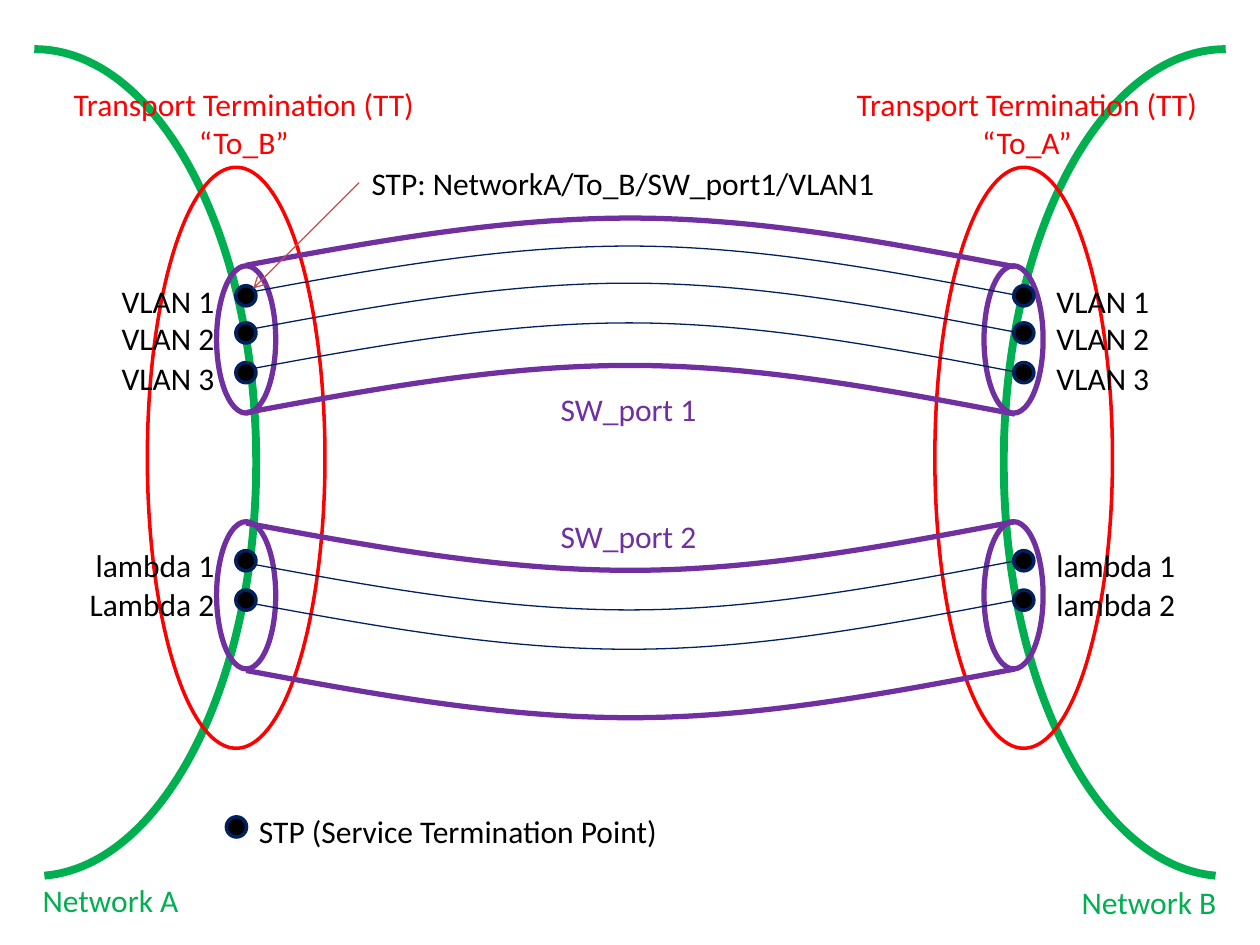
from lxml.etree import SubElement
from pptx import Presentation
from pptx.dml.color import RGBColor
from pptx.enum.shapes import MSO_CONNECTOR, MSO_SHAPE
from pptx.enum.text import MSO_AUTO_SIZE, PP_ALIGN
from pptx.oxml.ns import qn
from pptx.util import Pt

COLORS = {
    "network": "00B050",
    "termination": "FF0000",
    "port": "7030A0",
    "channel": "002060",
    "point": "000000",
    "text": "000000",
    "pointer": "C0504D",
}
SLIDE_WIDTH, SLIDE_HEIGHT = 720, 540
DOT_SIZE = 11.5
BOW_HEIGHT = 27.8
LABEL_HEIGHT = 28.8


def color(name):
    return RGBColor.from_string(COLORS[name])


def style_outline(shape, line_color, weight):
    shape.shadow.inherit = False
    shape.line.color.rgb = color(line_color)
    shape.line.width = Pt(weight)


def add_ellipse(shapes, left, top, width, height, line_color, weight, fill=None):
    ellipse = shapes.add_shape(MSO_SHAPE.OVAL, Pt(left), Pt(top), Pt(width), Pt(height))
    style_outline(ellipse, line_color, weight)
    if fill:
        ellipse.fill.solid()
        ellipse.fill.fore_color.rgb = color(fill)
    else:
        ellipse.fill.background()


def add_point(shapes, left, top):
    add_ellipse(shapes, left, top, DOT_SIZE, DOT_SIZE, "channel", 2, "point")


def add_curve(shapes, points, line_color, weight):
    """Draw an open Bezier curve: a start, then two controls and an end per segment."""
    points = [(Pt(x), Pt(y)) for x, y in points]
    builder = shapes.build_freeform(*points[0])
    builder.add_line_segments(points[1:], close=False)
    curve = builder.convert_to_shape()
    style_outline(curve, line_color, weight)
    curve.fill.background()

    segments = list(curve._element.iter(qn("a:lnTo")))
    for start in range(0, len(segments), 3):
        first, *others = segments[start:start + 3]
        first.tag = qn("a:cubicBezTo")
        for other in others:
            first.append(other[0])
            other.getparent().remove(other)


def add_bow(shapes, left, top, width, rising, line_color, weight):
    """Draw a shallow arch, or its upside-down form, in the given box."""
    depths = (0.97, 0.48, 0, 0, 0, 0.5, 1)
    points = [
        (left + width * step / 6, top + BOW_HEIGHT * (depth if rising else 1 - depth))
        for step, depth in enumerate(depths)
    ]
    add_curve(shapes, points, line_color, weight)


def add_label(shapes, left, top, width, lines, text_color="text", align=PP_ALIGN.LEFT):
    height = LABEL_HEIGHT + 21.6 * (len(lines) - 1)
    box = shapes.add_textbox(Pt(left), Pt(top), Pt(width), Pt(height))
    frame = box.text_frame
    frame.word_wrap = False
    frame.auto_size = MSO_AUTO_SIZE.SHAPE_TO_FIT_TEXT
    frame.text = "\n".join(lines)
    for paragraph in frame.paragraphs:
        paragraph.alignment = align
        paragraph.font.name = "Calibri"
        paragraph.font.size = Pt(18)
        paragraph.font.color.rgb = color(text_color)


def add_network_edge(shapes, left, top, mirrored):
    outline = [(0, 0), (69.2, 0), (125.3, 102.9), (126.8, 231.1),
               (128.2, 360), (74.2, 466.5), (5.8, 472.3)]
    direction = -1 if mirrored else 1
    points = [(left + direction * x, top + y) for x, y in outline]
    add_curve(shapes, points, "network", 4.5)


def add_channel(shapes, left, top, rising, names, label_widths):
    """Join two service termination points; left and top are those of the left point."""
    span = 444.5
    bow_top = top - 22.7 if rising else top + 6
    add_bow(shapes, left + 5, bow_top, 439.5, rising, "channel", 0.75)
    for point_left in (left + span, left):
        add_point(shapes, point_left, top)
    label_top = top - 5.8 if rising else top - 6.3
    add_label(shapes, left + span + 17.3, label_top, label_widths[1], [names[1]])
    add_label(shapes, left - 5.2 - label_widths[0], label_top, label_widths[0],
              [names[0]], align=PP_ALIGN.RIGHT)


def add_port(shapes, left, top, rising, channels):
    """Draw a tube between the networks with its channels; offsets count from top."""
    end_width, height, span = 33.8, 84.2, 438.5
    tube = shapes.add_group_shape().shapes
    for end_left in (left, left + span):
        add_ellipse(tube, end_left, top, end_width, height, "port", 3)
    bow_top = top - BOW_HEIGHT + 0.5 if rising else top
    for edge in (bow_top, bow_top + height):
        add_bow(tube, left + end_width / 2, edge, 439.2, rising, "port", 3)
    for offset, names, label_widths in channels:
        channel = shapes.add_group_shape().shapes
        add_channel(channel, left + 11, top + offset, rising, names, label_widths)


def add_pointer(shapes, start, end):
    connector = shapes.add_connector(
        MSO_CONNECTOR.STRAIGHT, *(Pt(value) for value in (*start, *end)))
    connector.line.color.rgb = color("pointer")
    connector.line.width = Pt(0.75)
    SubElement(connector.line._get_or_add_ln(), qn("a:tailEnd"), type="arrow")
    SubElement(connector._element.spPr, qn("a:effectLst"))


def add_legend(shapes, left, top):
    add_point(shapes, left, top + 6.4)
    add_label(shapes, left + 11.5, top, 244, ["STP (Service Termination Point)"])


def build_slide(slide):
    shapes = slide.shapes
    add_network_edge(shapes, 19.6, 28.1, mirrored=False)
    add_network_edge(shapes, SLIDE_WIDTH - 19.6, 28.1, mirrored=True)
    for left in (84.2, 534.2):
        add_ellipse(shapes, left, 95.6, 101.5, 332, "termination", 2)

    vlans = [(offset, (f"VLAN {number}",) * 2, (70, 70))
             for number, offset in enumerate((11.4, 32.6, 55.3), 1)]
    lambdas = [(16.6, ("lambda 1", "lambda 1"), (84, 84)),
               (39.1, ("Lambda 2", "lambda 2"), (88, 84))]
    add_port(shapes, 123.8, 151.9, True, vlans)
    add_port(shapes, 123.8, 298.1, False, lambdas)

    for left, name in ((481, "“To_A”"), (33.5, "“To_B”")):
        add_label(shapes, left, 45, 211.7, ["Transport Termination (TT)", name],
                  "termination", PP_ALIGN.CENTER)
    for top, name in ((219.6, "SW_port 1"), (292, "SW_port 2")):
        add_label(shapes, 313, top, 92.2, [name], "port", PP_ALIGN.CENTER)
    for left, top, name in ((17.3, 499.7, "Network A"), (611, 500.8, "Network B")):
        add_label(shapes, left, top, 92, [name], "network")

    add_legend(shapes, 129.4, 460.4)
    add_pointer(shapes, (205.2, 104.4), (144.7, 164.9))
    add_label(shapes, 205.2, 90, 303.8, ["STP: NetworkA/To_B/SW_port1/VLAN1"])


def main():
    presentation = Presentation()
    presentation.slide_width = Pt(SLIDE_WIDTH)
    presentation.slide_height = Pt(SLIDE_HEIGHT)
    build_slide(presentation.slides.add_slide(presentation.slide_layouts[6]))
    presentation.save("out.pptx")


if __name__ == "__main__":
    main()
